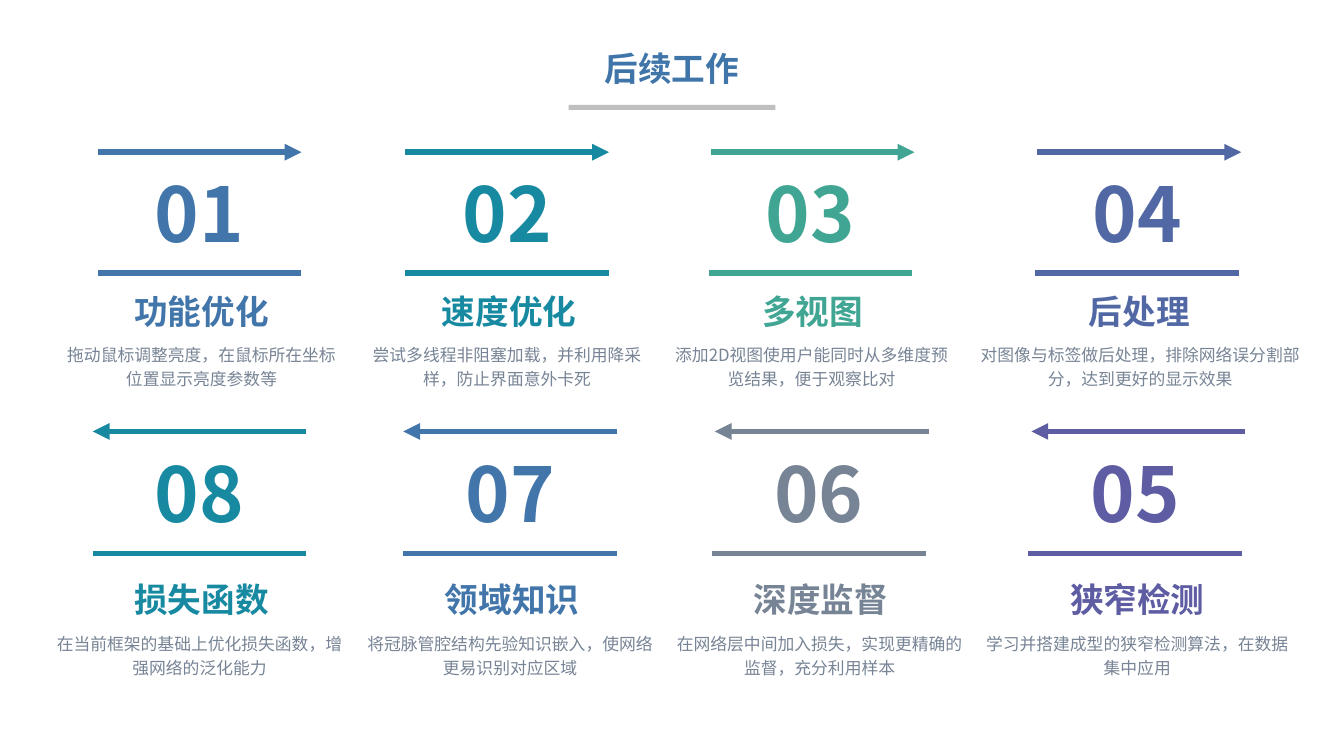
from pptx import Presentation
from pptx import util as u
from pptx.dml import color
from pptx.enum import shapes, text
from pptx.oxml import ns
from lxml import etree

FONT = "Noto Sans CJK SC"
GREY = "778495"
TITLE = "后续工作"

# Per step: number, heading, caption, colour, centre, arrow centre, caption centre, caption width
ROWS = [
    {"top": 1.51, "rule": 1.2, "head": 1.33, "note": 1.82, "span": 2.02, "end": "tailEnd", "steps": [
        ("01", "功能优化", "拖动鼠标调整亮度，在鼠标所在坐标位置显示亮度参数等",
         "4276AA", 1.98, 1.98, 2.0, 3.0),
        ("02", "速度优化", "尝试多线程非阻塞加载，并利用降采样，防止界面意外卡死",
         "178AA1", 5.03, 5.03, 5.03, 2.97),
        ("03", "多视图", "添加2D视图使用户能同时从多维度预览结果，便于观察比对",
         "40A693", 8.04, 8.06, 8.05, 2.97),
        ("04", "后处理", "对图像与标签做后处理，排除网络误分割部分，达到更好的显示效果",
         "5268A5", 11.28, 11.3, 11.31, 3.46),
    ]},
    {"top": 4.28, "rule": 1.21, "head": 1.41, "note": 1.92, "span": 2.12, "end": "headEnd", "steps": [
        ("08", "损失函数", "在当前框架的基础上优化损失函数，增强网络的泛化能力",
         "178AA1", 1.98, 1.98, 1.98, 3.16),
        ("07", "领域知识", "将冠脉管腔结构先验知识嵌入，使网络更易识别对应区域",
         "4276AA", 5.06, 5.06, 5.06, 3.13),
        ("06", "深度监督", "在网络层中间加入损失，实现更精确的监督，充分利用样本",
         GREY, 8.12, 8.15, 8.13, 3.13),
        ("05", "狭窄检测", "学习并搭建成型的狭窄检测算法，在数据集中应用",
         "5E5CA2", 11.26, 11.29, 11.28, 3.3),
    ]},
]

NUM = {"size": u.Pt(54), "bold": True}
HEAD = {"size": u.Pt(24), "bold": True}
NOTE = {"size": u.Pt(12), "bold": False}


def rgb(code):
    return color.RGBColor.from_string(code)


def write(box, words, look, tint, space=1.0, middle=False, wrap=True):
    """Fill a box with one centred paragraph."""
    frame = box.text_frame
    anchor = text.MSO_ANCHOR.MIDDLE if middle else text.MSO_ANCHOR.TOP
    form = {"word_wrap": wrap, "auto_size": text.MSO_AUTO_SIZE.NONE, "vertical_anchor": anchor}
    for key, value in form.items():
        setattr(frame, key, value)
    para = frame.paragraphs[0]
    para.alignment = text.PP_ALIGN.CENTER
    para.line_spacing = space
    run = para.add_run()
    run.text = words
    for key, value in {"name": FONT, **look}.items():
        setattr(run.font, key, value)
    run.font.color.rgb = rgb(tint)
    east = etree.SubElement(run.font._element, ns.qn("a:ea"))
    east.set("typeface", FONT)


def label(slide, mid, top, width, height, *words, **form):
    box = slide.shapes.add_textbox(
        u.Inches(mid - width / 2), u.Inches(top), u.Inches(width), u.Inches(height))
    write(box, *words, **form)


def rule(slide, mid, y, span, tint, end=None):
    """Draw a level line, with an arrowhead at the given end."""
    line = slide.shapes.add_connector(
        shapes.MSO_CONNECTOR.STRAIGHT,
        u.Inches(mid - span / 2), u.Inches(y), u.Inches(mid + span / 2), u.Inches(y))
    line.line.width = u.Pt(4)
    line.line.color.rgb = rgb(tint)
    if end:
        tip = etree.SubElement(line.line._get_or_add_ln(), ns.qn("a:" + end))
        tip.set("type", "triangle")
    etree.SubElement(line._element.spPr, ns.qn("a:effectLst"))


def main():
    deck = Presentation()
    deck.slide_width, deck.slide_height = u.Inches(13.33), u.Inches(7.5)
    slide = deck.slides.add_slide(deck.slide_layouts[5])

    title = slide.shapes.title
    place = {"left": 3.71, "top": 0.26, "width": 5.91, "height": 0.64}
    for key, value in place.items():
        setattr(title, key, u.Inches(value))
    write(title, TITLE, HEAD, "4075A9", space=1.5, middle=True)

    bar = slide.shapes.add_shape(
        shapes.MSO_SHAPE.RECTANGLE, u.Inches(5.64), u.Inches(1.04), u.Inches(2.05), u.Inches(0.05))
    bar.shadow.inherit = False
    bar.fill.solid()
    bar.fill.fore_color.rgb = rgb("BFBFBF")
    bar.line.fill.background()

    for row in ROWS:
        top, span = row["top"], row["span"]
        for num, head, note, tint, mid, tip, base, width in row["steps"]:
            rule(slide, tip, top, span, tint, row["end"])
            label(slide, mid, top + 0.06, 1.6, 1.08, num, NUM, tint, middle=True, wrap=False)
            rule(slide, mid, top + row["rule"], span, tint)
            label(slide, mid + 0.02, top + row["head"], 1.2, 0.4, head, HEAD, tint, wrap=False)
            label(slide, base, top + row["note"], width, 0.6, note, NOTE, GREY, space=1.2)

    deck.save("out.pptx")


if __name__ == "__main__":
    main()
